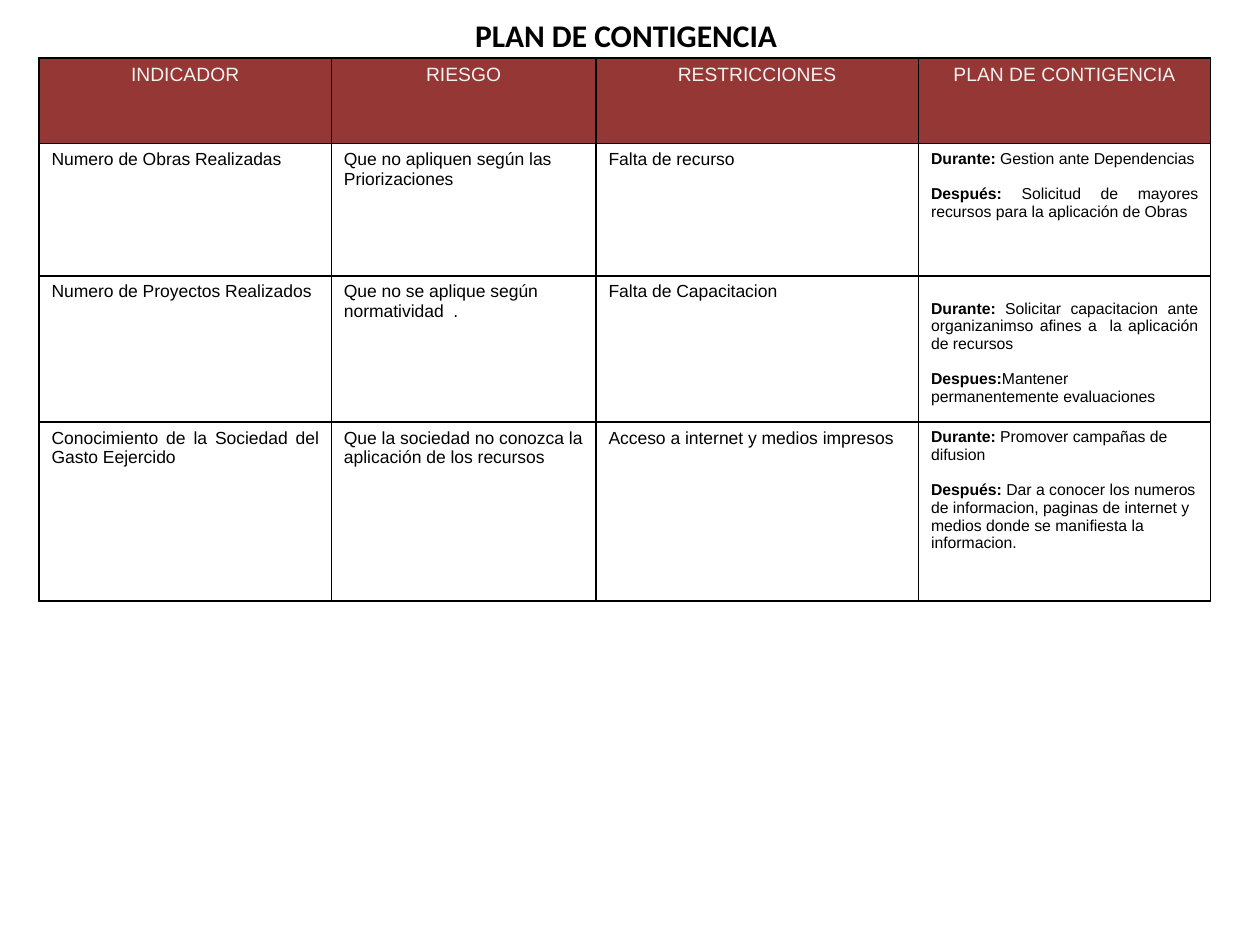
from pptx import Presentation, util as u
from pptx.dml.color import RGBColor
from pptx.enum import text
from pptx.oxml import parse_xml
from pptx.oxml.ns import nsdecls

COLORS = {"header": "953735", "header_text": "F2F2F2", "ink": "000000", "paper": "FFFFFF"}
LEFT, CENTER, JUSTIFY = text.PP_ALIGN.LEFT, text.PP_ALIGN.CENTER, text.PP_ALIGN.JUSTIFY
TITLE = "PLAN DE CONTIGENCIA"
HEADERS = ["INDICADOR", "RIESGO", "RESTRICCIONES", "PLAN DE CONTIGENCIA"]
RISKS = [
    [("Numero de Obras Realizadas", LEFT),
     ("Que no apliquen según las Priorizaciones", LEFT),
     ("Falta de recurso", JUSTIFY)],
    [("Numero de Proyectos Realizados", LEFT),
     ("Que no se aplique según normatividad  .", LEFT),
     ("Falta de Capacitacion", LEFT)],
    [("Conocimiento de la Sociedad del Gasto Eejercido", JUSTIFY),
     ("Que la sociedad no conozca la aplicación de los recursos", LEFT),
     ("Acceso a internet y medios impresos", JUSTIFY)],
]
PLANS = [
    {"align": JUSTIFY, "top": 0.05, "steps": [
        ("Durante:", " Gestion ante Dependencias"),
        ("Después:", " Solicitud de mayores recursos para la aplicación de Obras")]},
    {"align": JUSTIFY, "top": 0.19, "steps": [
        ("Durante: ", "Solicitar capacitacion ante organizanimso afines a  la aplicación de recursos"),
        ("Despues:", "Mantener permanentemente evaluaciones")]},
    {"align": LEFT, "top": 0.05, "steps": [
        ("Durante: ", "Promover campañas de difusion"),
        ("Después: ", "Dar a conocer los numeros de informacion, paginas de internet y "
                      "medios donde se manifiesta la informacion.")]},
]
COLUMNS = [2.32, 2.1, 2.56, 2.32]
ROWS = [0.68, 1.05, 1.16, 1.42]
STEP_GAP = 10.2


def write(para, words, size=10, font="Arial", color="ink", bold=False, align=LEFT):
    para.alignment = align
    span = para.add_run()
    span.text = words
    span.font.size = u.Pt(size)
    span.font.name = font
    span.font.bold = bold
    span.font.color.rgb = RGBColor.from_string(COLORS[color])


def outline(cell, fill):
    properties = cell._tc.get_or_add_tcPr()
    for side in ("lnL", "lnR", "lnT", "lnB"):
        properties.append(parse_xml(
            f'<a:{side} {nsdecls("a")} w="{u.Pt(1)}"><a:solidFill>'
            f'<a:srgbClr val="{COLORS["ink"]}"/></a:solidFill></a:{side}>'))
    cell.fill.solid()
    cell.fill.fore_color.rgb = RGBColor.from_string(COLORS[fill])


def main():
    deck = Presentation()
    deck.slide_width, deck.slide_height = u.Inches(10), u.Inches(7.5)
    page = deck.slides.add_slide(deck.slide_layouts[5])

    title = page.shapes.title
    title.left, title.top, title.width, title.height = map(u.Inches, (3.67, 0.08, 2.74, 0.4))
    frame = title.text_frame
    frame.word_wrap = False
    frame.auto_size = text.MSO_AUTO_SIZE.SHAPE_TO_FIT_TEXT
    frame.vertical_anchor = text.MSO_ANCHOR.TOP
    write(frame.paragraphs[0], TITLE, size=18, font="Calibri", bold=True)

    table = page.shapes.add_table(
        len(ROWS), len(COLUMNS), u.Inches(0.31), u.Inches(0.46),
        u.Inches(sum(COLUMNS)), u.Inches(sum(ROWS))).table
    for column, width in zip(table.columns, COLUMNS):
        column.width = u.Inches(width)
    for row, height in zip(table.rows, ROWS):
        row.height = u.Inches(height)
    for index, row in enumerate(table.rows):
        for cell in row.cells:
            outline(cell, "paper" if index else "header")

    for cell, words in zip(table.rows[0].cells, HEADERS):
        write(cell.text_frame.paragraphs[0], words, size=11, color="header_text", align=CENTER)
    for index, (risk, plan) in enumerate(zip(RISKS, PLANS), 1):
        for column, (words, align) in enumerate(risk):
            write(table.cell(index, column).text_frame.paragraphs[0], words, align=align)
        cell = table.cell(index, len(COLUMNS) - 1)
        cell.margin_top = u.Inches(plan["top"])
        for number, (label, detail) in enumerate(plan["steps"]):
            if number:
                para = cell.text_frame.add_paragraph()
                para.space_before = u.Pt(STEP_GAP)
            else:
                para = cell.text_frame.paragraphs[0]
            write(para, label, size=9, bold=True, align=plan["align"])
            write(para, detail, size=9, align=plan["align"])

    deck.save("out.pptx")


if __name__ == "__main__":
    main()
